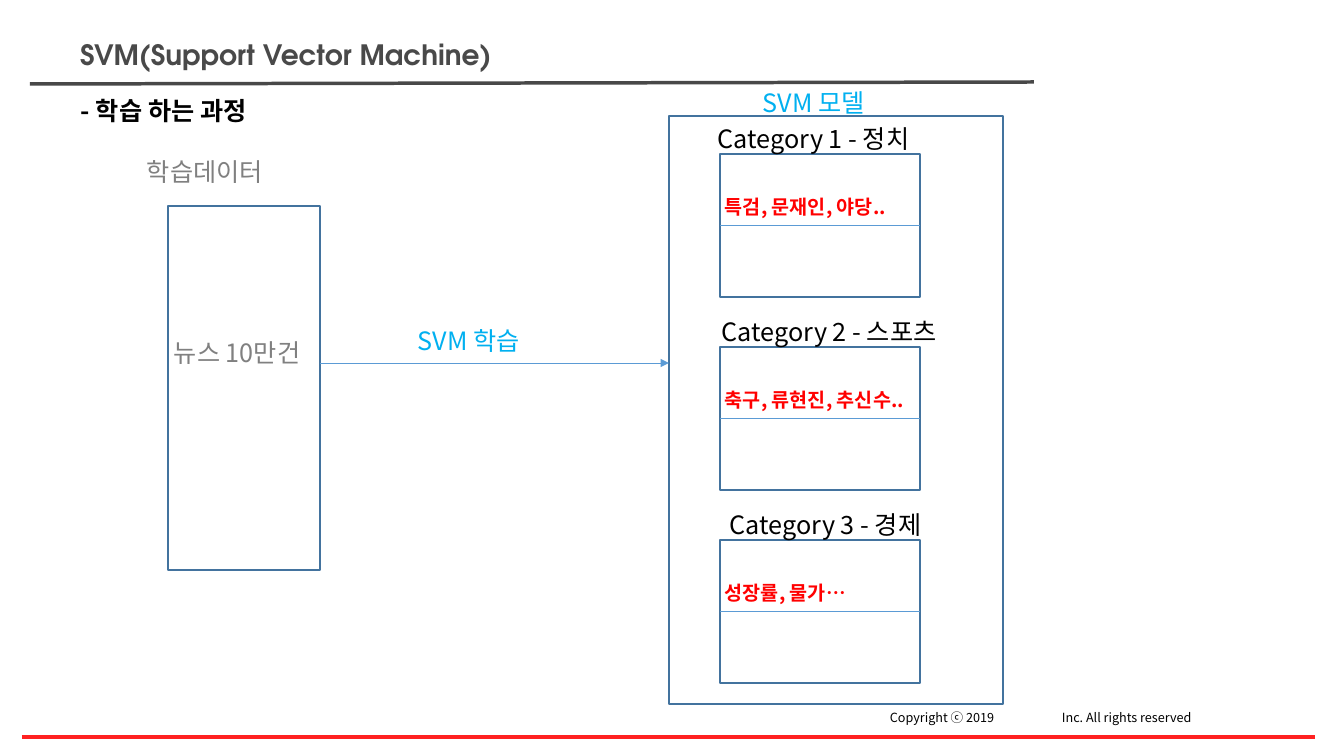
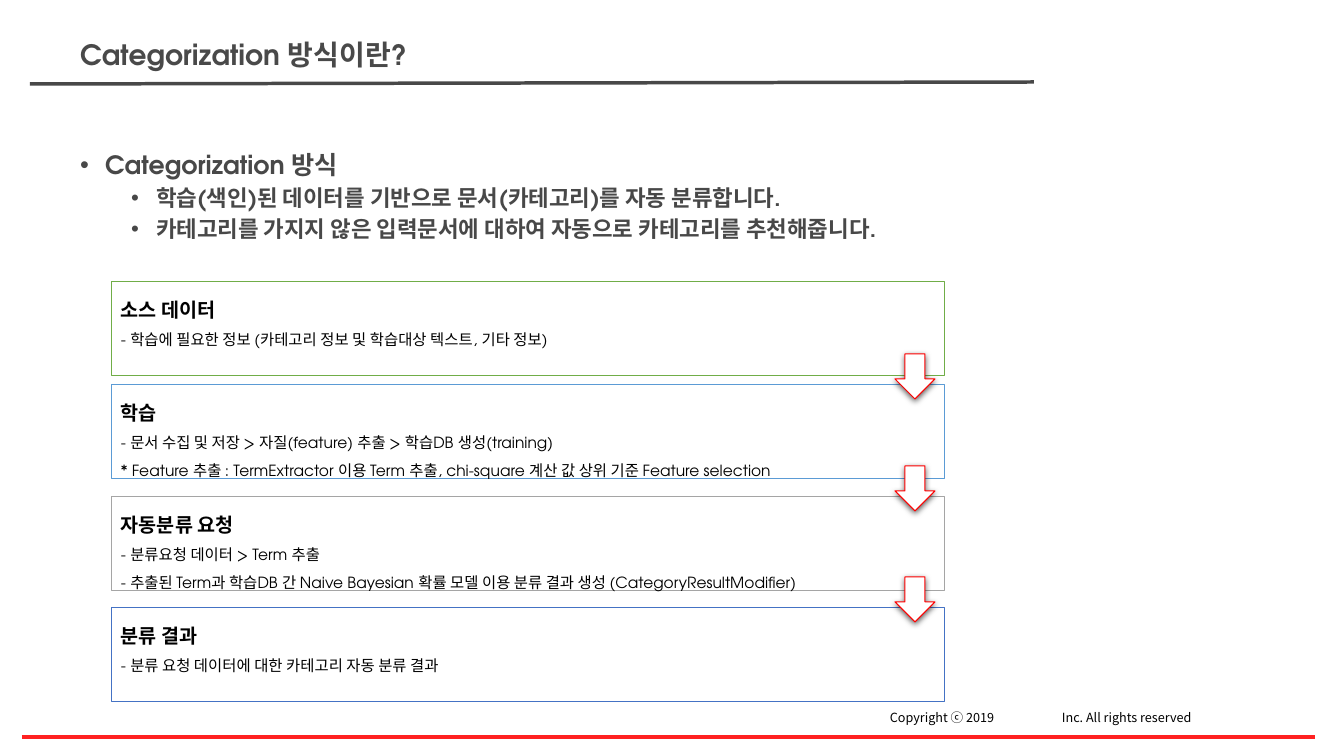
import dataclasses

import lxml.etree
import pptx
import pptx.dml.color
import pptx.enum.shapes
import pptx.enum.text
import pptx.oxml
import pptx.oxml.ns
import pptx.util

SHAPE = pptx.enum.shapes.MSO_SHAPE
ANCHOR = pptx.enum.text.MSO_ANCHOR
ALIGN = pptx.enum.text.PP_ALIGN
qn = pptx.oxml.ns.qn


@dataclasses.dataclass(frozen=True)
class Theme:
    korean: str = "Noto Sans CJK KR"
    latin: str = "TeX Gyre Adventor"
    title: str = "494949"
    dark: str = "484848"
    footer_line: str = "FF2121"
    black: str = "000000"
    white: str = "FFFFFF"
    gray: str = "808080"
    red: str = "FF0000"
    cyan: str = "00B0F0"
    outline: str = "43739E"
    blue: str = "5B9BD5"
    title_size: int = 20
    label_size: int = 18
    bullet_size: int = 16
    keyword_size: int = 14
    detail_size: int = 11
    footer_size: int = 9


THEME = Theme()
EMU_PER_PX = 914400 / 100.8
SLIDE_SIZE = (1344, 756)

# Content shared by both slides
FRAME_LINES = [
    ((30, 84), (1034, 82), THEME.dark),
    ((22, 737), (1315, 737), THEME.footer_line),
]
COPYRIGHT = "Copyright ⓒ 2019\tInc. All rights reserved"
COPYRIGHT_TAB = 172

# Content of the training slide
TRAINING_TITLE = "SVM(Support Vector Machine)"
DATA_BOX = (168, 206, 152, 364)
MODEL_BOX = (669, 116, 334, 588)
TRAINING_ARROW = ((320, 363), (669, 363))
CATEGORY_LEFT, CATEGORY_TOP, CATEGORY_PITCH = 720, 154, 193
CATEGORY_WIDTH, CATEGORY_HEIGHT = 200, 143
CATEGORIES = [  # name, left of the name, keywords
    ("Category 1 - 정치", 708, "특검, 문재인, 야당.."),
    ("Category 2 - 스포츠", 712, "축구, 류현진, 추신수.."),
    ("Category 3 - 경제", 720, "성장률, 물가…"),
]
LABELS = [  # text, left, top, width, colour, bold
    ("뉴스 10만건", 164, 332, 180, THEME.gray, False),
    ("학습데이터", 137, 151, 147, THEME.gray, False),
    ("SVM 학습", 408, 320, 140, THEME.cyan, False),
    ("SVM 모델", 753, 82, 140, THEME.cyan, False),
    ("- 학습 하는 과정", 71, 90, 220, THEME.black, True),
]

# Content of the categorization slide
METHOD_TITLE = "Categorization 방식이란?"
METHOD_BULLETS = [
    (0, "Categorization 방식"),
    (1, "학습(색인)된 데이터를 기반으로 문서(카테고리)를 자동 분류합니다."),
    (1, "카테고리를 가지지 않은 입력문서에 대하여 자동으로 카테고리를 추천해줍니다."),
]
BULLET_STYLES = [  # size, space before in points, text indent in px
    (THEME.label_size, 10, 25),
    (THEME.bullet_size, 5, 76),
]
STEP_LEFT, STEP_WIDTH, STEP_HEIGHT = 111, 833, 94
STEPS = [  # top, outline, heading, details
    (281, "70AD47", "소스 데이터",
     ["- 학습에 필요한 정보 (카테고리 정보 및 학습대상 텍스트, 기타 정보)"]),
    (384, THEME.blue, "학습",
     ["- 문서 수집 및 저장 > 자질(feature) 추출 > 학습DB 생성(training)",
      "* Feature 추출 : TermExtractor 이용 Term 추출, chi-square 계산 값 상위 기준 "
      "Feature selection"]),
    (496, "A5A5A5", "자동분류 요청",
     ["- 분류요청 데이터 > Term 추출",
      "- 추출된 Term과 학습DB 간 Naive Bayesian 확률 모델 이용 분류 결과 생성 "
      "(CategoryResultModifier)"]),
    (607, "4472C4", "분류 결과",
     ["- 분류 요청 데이터에 대한 카테고리 자동 분류 결과"]),
]
STEP_ARROW_LEFT, STEP_ARROW_RISE, STEP_ARROW_SIZE = 895, 30, (40, 45)


def px(value):
    return pptx.util.Emu(round(value * EMU_PER_PX))


def rgb(colour):
    return pptx.dml.color.RGBColor.from_string(colour)


def add_run(paragraph, text, size, colour, bold=False, font=THEME.korean):
    run = paragraph.add_run()
    run.text = text
    run.font.size = pptx.util.Pt(size)
    run.font.bold = bold
    run.font.color.rgb = rgb(colour)
    run.font.name = font
    east_asian = lxml.etree.SubElement(run.font._element, qn("a:ea"))
    east_asian.set("typeface", THEME.korean)


def add_label(slide, text, left, top, width, size, colour, bold=False):
    label = slide.shapes.add_textbox(px(left), px(top), px(width), px(40))
    label.text_frame.word_wrap = True
    paragraph = label.text_frame.paragraphs[0]
    add_run(paragraph, text, size, colour, bold)
    return label


def add_line(slide, start, end, colour, width):
    line = slide.shapes.add_connector(
        pptx.enum.shapes.MSO_CONNECTOR.STRAIGHT,
        px(start[0]), px(start[1]), px(end[0]), px(end[1]))
    line.line.color.rgb = rgb(colour)
    line.line.width = pptx.util.Pt(width)
    lxml.etree.SubElement(line.element.spPr, qn("a:effectLst"))
    return line


def add_box(slide, left, top, width, height, outline, weight, kind=SHAPE.RECTANGLE):
    box = slide.shapes.add_shape(kind, px(left), px(top), px(width), px(height))
    box.shadow.inherit = False
    box.fill.background()
    box.line.color.rgb = rgb(outline)
    box.line.width = pptx.util.Pt(weight)
    return box


def place(shape, left, top, width, height):
    shape.left, shape.top = px(left), px(top)
    shape.width, shape.height = px(width), px(height)


def add_slide(presentation, layout_index, title):
    slide = presentation.slides.add_slide(presentation.slide_layouts[layout_index])
    place(slide.shapes.title, 70, 37, 723, 38)
    frame = slide.shapes.title.text_frame
    frame.auto_size = pptx.enum.text.MSO_AUTO_SIZE.NONE
    frame.vertical_anchor = ANCHOR.MIDDLE
    paragraph = frame.paragraphs[0]
    paragraph.alignment = ALIGN.LEFT
    paragraph.line_spacing = 0.9
    add_run(paragraph, title, THEME.title_size, THEME.title, True, THEME.latin)
    return slide


def build_master(presentation, slide):
    """Draw the rules and the copyright line, then hand them to the master."""
    parts = [add_line(slide, start, end, colour, 2.5)
             for start, end, colour in FRAME_LINES]
    notice = add_label(slide, COPYRIGHT, 880, 701, 440,
                       THEME.footer_size, THEME.black)
    paragraph = notice.text_frame.paragraphs[0]
    paragraph.line_spacing = 1.25
    tabs = lxml.etree.SubElement(
        paragraph._p.get_or_add_pPr(), qn("a:tabLst"))
    tab = lxml.etree.SubElement(tabs, qn("a:tab"))
    tab.set("pos", str(px(COPYRIGHT_TAB)))
    tab.set("algn", "l")
    parts.append(notice)
    for number, part in enumerate(parts, start=20):
        part.element.xpath(".//p:cNvPr")[0].set("id", str(number))
        presentation.slide_master.shapes.element.append(part.element)


def build_training(slide):
    # Categories with their keywords
    for index, (name, name_left, keywords) in enumerate(CATEGORIES):
        top = CATEGORY_TOP + index * CATEGORY_PITCH
        box = add_box(slide, CATEGORY_LEFT, top, CATEGORY_WIDTH, CATEGORY_HEIGHT,
                      THEME.outline, 1)
        middle = top + CATEGORY_HEIGHT / 2
        divider = add_line(slide, (CATEGORY_LEFT, middle),
                           (CATEGORY_LEFT + CATEGORY_WIDTH, middle), THEME.blue, 0.5)
        divider.begin_connect(box, 1)
        divider.end_connect(box, 3)
        add_label(slide, name, name_left, top - 36, 275,
                  THEME.label_size, THEME.black)
        add_label(slide, keywords, 715, top + 36, 275,
                  THEME.keyword_size, THEME.red, True)

    # Model, training data and the arrow between them
    for box in (MODEL_BOX, DATA_BOX):
        add_box(slide, *box, THEME.outline, 1)
    arrow = add_line(slide, *TRAINING_ARROW, THEME.blue, 0.5)
    head = lxml.etree.SubElement(arrow.line._get_or_add_ln(), qn("a:tailEnd"))
    head.set("type", "triangle")
    for text, left, top, width, colour, bold in LABELS:
        add_label(slide, text, left, top, width, THEME.label_size, colour, bold)


def add_bullet(paragraph, indent):
    properties = paragraph._p.get_or_add_pPr()
    properties.set("marL", str(px(indent)))
    properties.set("indent", str(px(-25)))
    bullet = lxml.etree.SubElement(properties, qn("a:buChar"))
    bullet.set("char", "•")


def add_drop_shadow(shape):
    effects = shape.element.spPr.find(qn("a:effectLst"))
    shadow = lxml.etree.SubElement(effects, qn("a:outerShdw"))
    for name, value in (("blurRad", pptx.util.Pt(4.5)), ("dist", pptx.util.Pt(1.5)),
                        ("dir", 5400000), ("rotWithShape", 0)):
        shadow.set(name, str(int(value)))
    colour = lxml.etree.SubElement(shadow, qn("a:srgbClr"))
    colour.set("val", THEME.black)
    lxml.etree.SubElement(colour, qn("a:alpha")).set("val", "63000")


def build_method(slide):
    # Bulleted introduction
    body = slide.placeholders[1]
    place(body, 70, 148, 1159, 116)
    frame = body.text_frame
    frame.auto_size = pptx.enum.text.MSO_AUTO_SIZE.NONE
    for index, (level, text) in enumerate(METHOD_BULLETS):
        paragraph = frame.add_paragraph() if index else frame.paragraphs[0]
        size, space, indent = BULLET_STYLES[level]
        paragraph.level = level
        paragraph.line_spacing = 0.9
        paragraph.space_before = pptx.util.Pt(space)
        add_bullet(paragraph, indent)
        add_run(paragraph, text, size, THEME.dark, True, THEME.latin)

    # Process steps
    for top, outline, heading, details in STEPS:
        box = add_box(slide, STEP_LEFT, top, STEP_WIDTH, STEP_HEIGHT, outline, 0.5)
        frame = box.text_frame
        frame.word_wrap = True
        frame.vertical_anchor = ANCHOR.TOP
        for index, text in enumerate([heading] + details):
            paragraph = frame.add_paragraph() if index else frame.paragraphs[0]
            paragraph.alignment = ALIGN.LEFT
            paragraph.line_spacing = 1.5
            size = THEME.detail_size if index else THEME.keyword_size
            add_run(paragraph, text, size, THEME.black, index == 0, THEME.latin)

    # Arrows into every step but the first
    for top, *_ in STEPS[1:]:
        arrow = add_box(slide, STEP_ARROW_LEFT, top - STEP_ARROW_RISE,
                        *STEP_ARROW_SIZE, THEME.red, 0.75, SHAPE.DOWN_ARROW)
        arrow.fill.solid()
        arrow.fill.fore_color.rgb = rgb(THEME.white)
        add_drop_shadow(arrow)


def main():
    presentation = pptx.Presentation()
    presentation.slide_width, presentation.slide_height = map(px, SLIDE_SIZE)
    training = add_slide(presentation, 5, TRAINING_TITLE)
    build_master(presentation, training)
    build_training(training)
    build_method(add_slide(presentation, 1, METHOD_TITLE))
    presentation.save("out.pptx")


if __name__ == "__main__":
    main()
